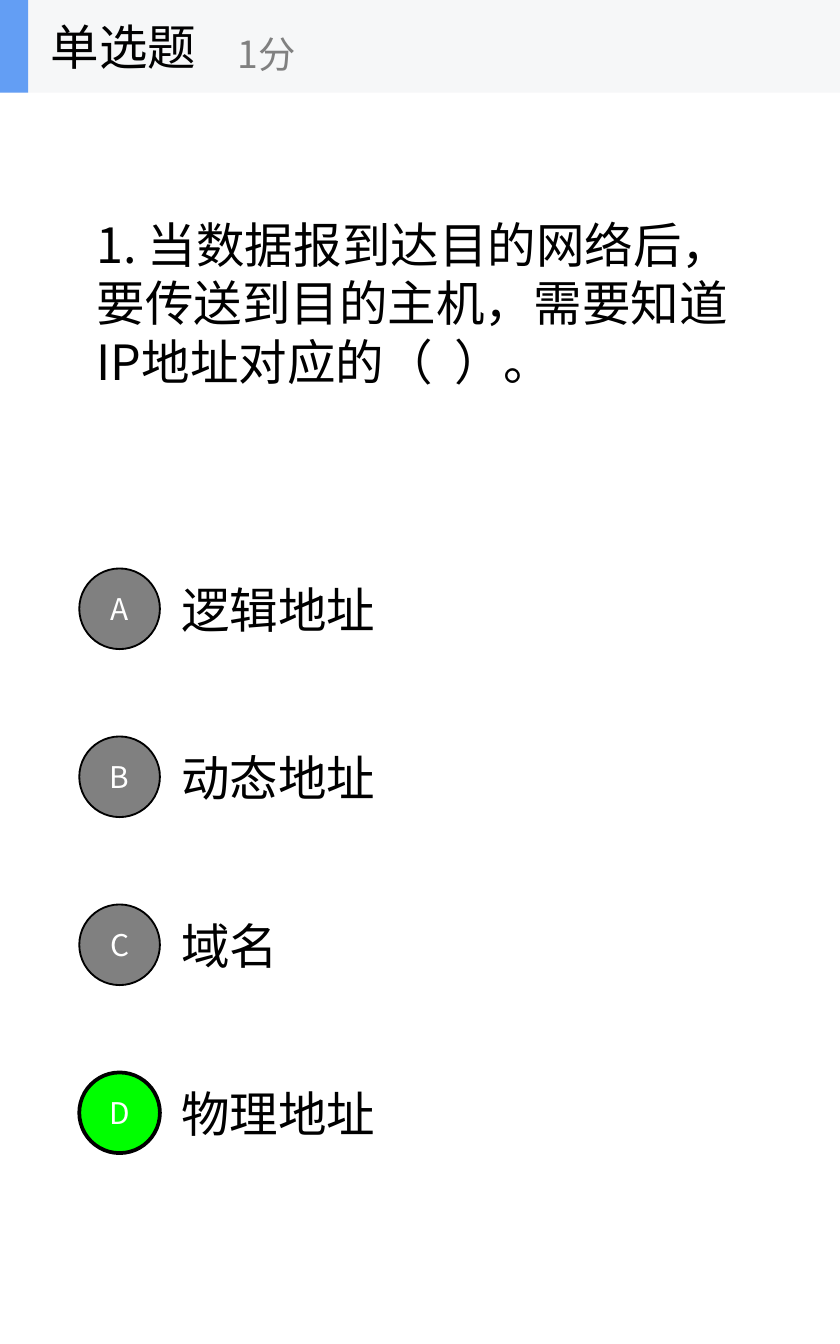
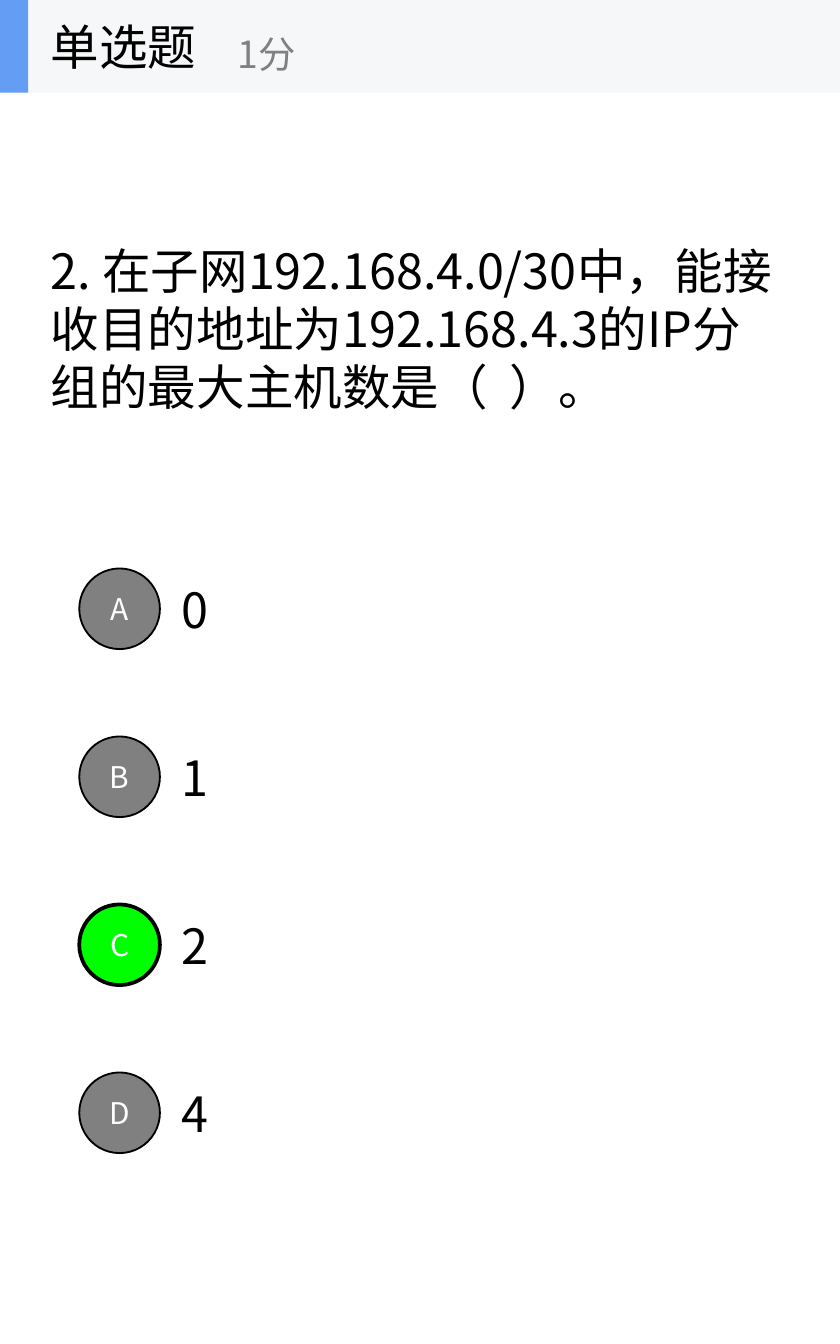
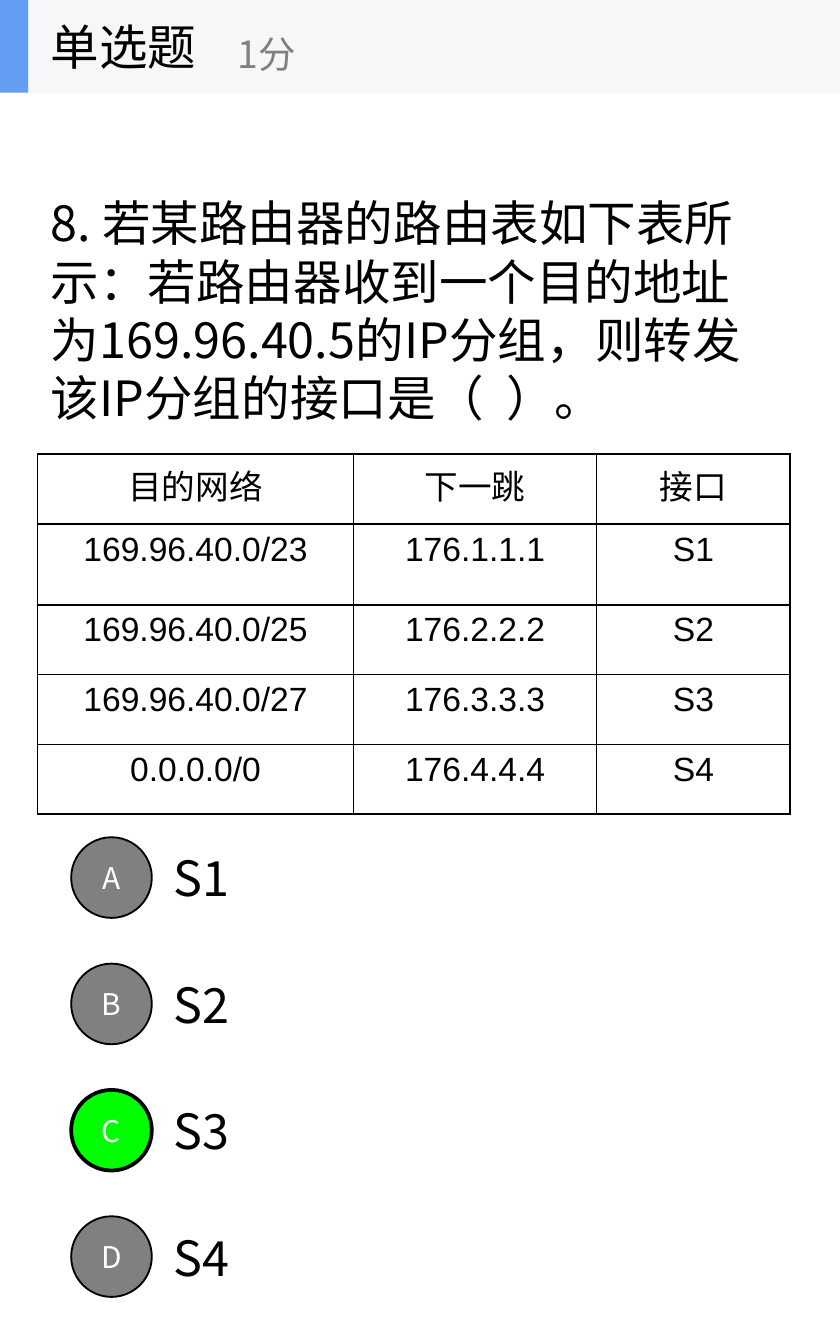
from dataclasses import dataclass
from typing import Any, NamedTuple

from lxml.etree import SubElement
from pptx import Presentation
from pptx.dml.color import RGBColor
from pptx.enum.shapes import MSO_SHAPE
from pptx.enum.text import MSO_ANCHOR, PP_ALIGN
from pptx.oxml.ns import qn
from pptx.util import Inches, Pt


# Shared look
@dataclass(frozen=True)
class Theme:
    black: str = "000000"
    white: str = "FFFFFF"
    grey: str = "808080"
    correct: str = "00FF00"
    band: str = "F6F7F8"
    accent: str = "639EF4"
    font: str = "Noto Sans CJK SC"
    table_font: str = "Arial"
    body: int = 26
    points: int = 20
    cell: int = 18
    letter: int = 16


THEME = Theme()


class Box(NamedTuple):
    left: float
    top: float
    width: float
    height: float

    def lengths(self) -> list[int]:
        return [Inches(v) for v in self]


@dataclass(frozen=True)
class RouteTable:
    box: Box
    cols: tuple[float, ...]
    rows: tuple[float, ...]
    cells: tuple[tuple[str, ...], ...]


@dataclass(frozen=True)
class Question:
    text: str
    box: Box
    options: tuple[str, ...]
    answer: str
    first_option: Box = Box(1.25, 4.06, 4.38, 0.94)
    pitch: float = 1.25
    table: RouteTable | None = None


# Content
QUESTIONS = (
    Question(
        "1. 当数据报到达目的网络后，要传送到目的主机，需要知道IP地址对应的（  ）。",
        Box(0.62, 0.69, 5, 3.12),
        ("逻辑地址", "动态地址", "域名", "物理地址"),
        "D",
    ),
    Question(
        "2. 在子网192.168.4.0/30中，能接收目的地址为192.168.4.3的IP分组的最大主机数是（  ）。",
        Box(0.28, 0.88, 5.68, 3.12),
        ("0", "1", "2", "4"),
        "C",
    ),
    Question(
        "8. 若某路由器的路由表如下表所示：若路由器收到一个目的地址为169.96.40.5的IP分组，"
        "则转发该IP分组的接口是（  ）。",
        Box(0.28, 0.95, 5.6, 2.71),
        ("S1", "S2", "S3", "S4"),
        "C",
        first_option=Box(1.19, 6.06, 4.38, 0.94),
        pitch=0.94,
        table=RouteTable(
            Box(0.28, 3.38, 5.6, 2.68),
            (2.35, 1.81, 1.44),
            (0.52, 0.6, 0.52, 0.52, 0.52),
            (
                ("目的网络", "下一跳", "接口"),
                ("169.96.40.0/23", "176.1.1.1", "S1"),
                ("169.96.40.0/25", "176.2.2.2", "S2"),
                ("169.96.40.0/27", "176.3.3.3", "S3"),
                ("0.0.0.0/0", "176.4.4.4", "S4"),
            ),
        ),
    ),
)


# Drawing helpers
def write(tf: Any, text: str, size: int, color: str = THEME.black,
          align: PP_ALIGN = PP_ALIGN.LEFT, font: str = THEME.font) -> None:
    p = tf.paragraphs[0]
    p.alignment = align
    r = p.add_run()
    r.text = text
    for name, value in {"name": font, "size": Pt(size)}.items():
        setattr(r.font, name, value)
    r.font.color.rgb = RGBColor.from_string(color)
    SubElement(r.font._element, qn("a:ea"), typeface=THEME.font)


def add_text(shapes: Any, box: Box, text: str, size: int = THEME.body,
             color: str = THEME.black) -> None:
    tf = shapes.add_textbox(*box.lengths()).text_frame
    for name, value in {"word_wrap": True, "vertical_anchor": MSO_ANCHOR.MIDDLE}.items():
        setattr(tf, name, value)
    write(tf, text, size, color)


def add_filled(shapes: Any, kind: MSO_SHAPE, box: Box, fill: str, line: float = 0) -> Any:
    sp = shapes.add_shape(kind, *box.lengths())
    sp.shadow.inherit = False
    sp.fill.solid()
    sp.fill.fore_color.rgb = RGBColor.from_string(fill)
    if line:
        sp.line.color.rgb = RGBColor.from_string(THEME.black)
        sp.line.width = Pt(line)
    else:
        sp.line.fill.background()
    return sp


def add_header(s: Any) -> None:
    shapes = s.shapes.add_group_shape().shapes
    add_filled(shapes, MSO_SHAPE.RECTANGLE, Box(0, 0, 6.25, 0.69), THEME.band)
    add_filled(shapes, MSO_SHAPE.RECTANGLE, Box(0, 0, 0.21, 0.69), THEME.accent)
    add_text(shapes, Box(0.28, 0, 2.08, 0.69), "单选题")
    add_text(shapes, Box(1.67, 0.12, 2.5, 0.56), "1分", THEME.points, THEME.grey)


def add_options(s: Any, q: Question) -> None:
    boxes = [q.first_option._replace(top=q.first_option.top + i * q.pitch)
             for i in range(len(q.options))]
    for box, option in zip(boxes, q.options):
        add_text(s.shapes, box, option)
    for box, letter in zip(boxes, "ABCD"):
        fill, line = (THEME.correct, 2) if letter == q.answer else (THEME.grey, 1)
        circle = Box(box.left - 0.66, box.top + 0.17, 0.6, 0.6)
        sp = add_filled(s.shapes, MSO_SHAPE.OVAL, circle, fill, line)
        tf = sp.text_frame
        tf.vertical_anchor = MSO_ANCHOR.MIDDLE
        write(tf, letter, THEME.letter, THEME.white, PP_ALIGN.CENTER)


def add_borders(cell: Any) -> None:
    tc_pr = cell._tc.get_or_add_tcPr()
    for side in ("lnL", "lnR", "lnT", "lnB"):
        ln = SubElement(tc_pr, qn(f"a:{side}"), w=str(Pt(1)))
        fill = SubElement(ln, qn("a:solidFill"))
        SubElement(fill, qn("a:srgbClr"), val=THEME.black)


def add_route_table(s: Any, routes: RouteTable) -> None:
    frame = s.shapes.add_table(len(routes.rows), len(routes.cols), *routes.box.lengths())
    table = frame.table
    for name in ("first_row", "horz_banding"):
        setattr(table, name, False)
    for col, width in zip(table.columns, routes.cols):
        col.width = Inches(width)
    for row, height, values in zip(table.rows, routes.rows, routes.cells):
        row.height = Inches(height)
        for cell, value in zip(row.cells, values):
            add_borders(cell)
            cell.fill.background()
            write(cell.text_frame, value, THEME.cell, align=PP_ALIGN.CENTER,
                  font=THEME.table_font)


def main() -> None:
    prs = Presentation()
    prs.slide_width, prs.slide_height = Inches(6.25), Inches(10)
    for q in QUESTIONS:
        s = prs.slides.add_slide(prs.slide_layouts[6])
        add_text(s.shapes, q.box, q.text)
        add_options(s, q)
        if q.table:
            add_route_table(s, q.table)
        add_header(s)
    prs.save("out.pptx")


if __name__ == "__main__":
    main()
